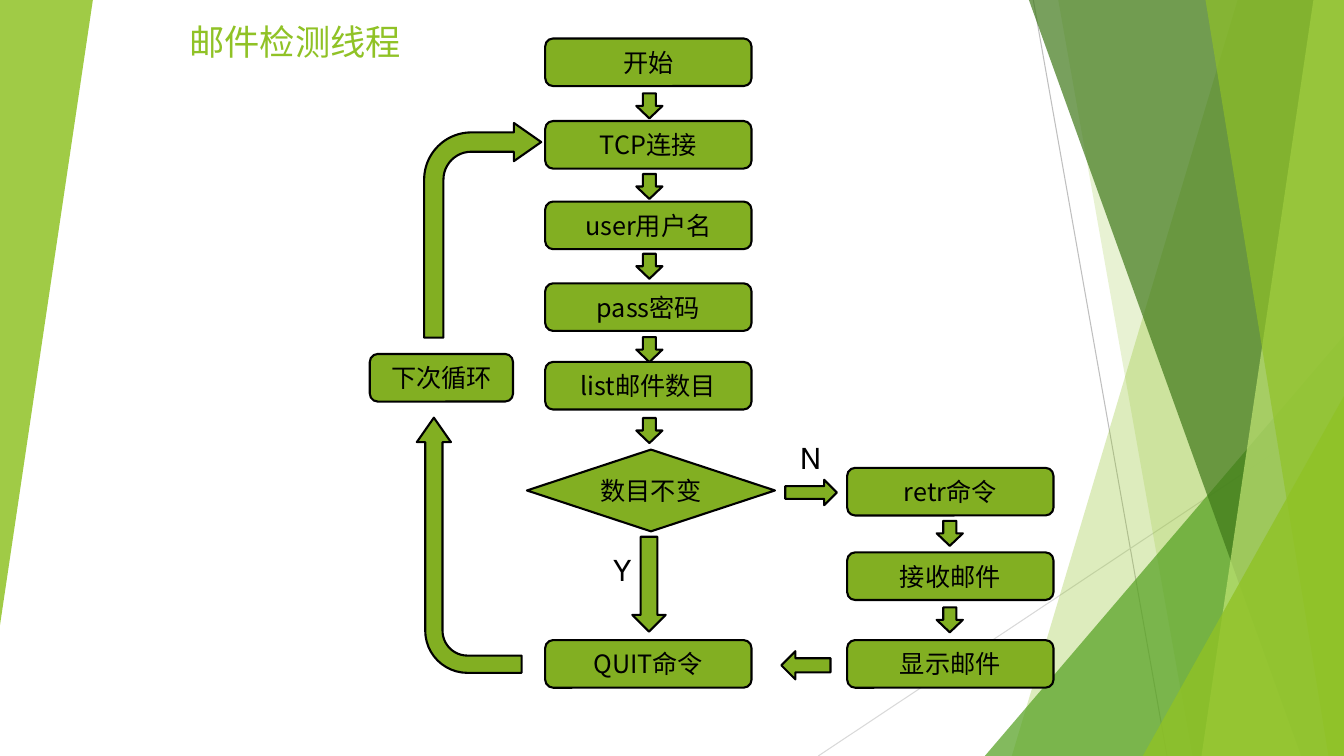
import pptx
import pptx.util
import pptx.dml.color
import pptx.enum.shapes
import pptx.enum.text
import pptx.oxml
import pptx.oxml.ns

Cm = pptx.util.Cm
SHAPE = pptx.enum.shapes.MSO_SHAPE
ALIGN = pptx.enum.text.PP_ALIGN
ANCHOR = pptx.enum.text.MSO_ANCHOR
qn = pptx.oxml.ns.qn

WIDTH, HEIGHT = 33.87, 19.05
COLORS = {
    "lime": "90C226", "green": "54A021", "forest": "3F7819", "pale": "C0E474",
    "box": "82AF22", "ink": "000000", "gray": "BFBFBF", "silver": "D9D9D9",
}
CJK, LATIN = "Noto Sans CJK SC", "Karla"


def rgb(name):
    """Return the named colour."""
    return pptx.dml.color.RGBColor.from_string(COLORS[name])


def write(tf, text, size=18, font=CJK, color="ink", align=ALIGN.CENTER,
          anchor=ANCHOR.MIDDLE, wrap=True):
    """Put one formatted line of text in a text frame."""
    tf.word_wrap, tf.vertical_anchor = wrap, anchor
    p = tf.paragraphs[0]
    p.alignment = align
    r = p.add_run()
    r.text = text
    r.font.size, r.font.name = pptx.util.Pt(size), font
    r.font.color.rgb = rgb(color)
    ea = pptx.oxml.parse_xml(
        '<a:ea %s typeface="%s"/>' % (pptx.oxml.ns.nsdecls("a"), CJK))
    r.font._element.find(qn("a:latin")).addnext(ea)


class Flowchart:
    """Holds the slide and the style of its elements."""

    def __init__(self, slide):
        self.slide = slide
        self.shapes = slide.shapes

    def paint(self, sp, color, opacity):
        """Give a background facet a translucent fill and no line."""
        sp.shadow.inherit = False
        sp.fill.solid()
        sp.fill.fore_color.rgb = rgb(color)
        sp.line.fill.background()
        clr = sp._element.spPr.find(qn("a:solidFill"))[0]
        clr.append(pptx.oxml.parse_xml('<a:alpha %s val="%d"/>' % (
            pptx.oxml.ns.nsdecls("a"), opacity * 1000)))

    def facet(self, top, bottom, color, opacity):
        """Fill from a slanted edge to the right side of the slide."""
        builder = self.shapes.build_freeform(Cm(top), 0)
        corners = [(WIDTH, 0), (WIDTH, HEIGHT), (bottom, HEIGHT)]
        builder.add_line_segments([(Cm(x), Cm(y)) for x, y in corners])
        self.paint(builder.convert_to_shape(), color, opacity)

    def triangle(self, x, y, w, h, color, opacity, rotation=0):
        """Add a right-angled background triangle."""
        sp = self.shapes.add_shape(SHAPE.ISOSCELES_TRIANGLE,
                                   Cm(x), Cm(y), Cm(w), Cm(h))
        sp.adjustments[0] = 1
        sp.rotation = rotation
        self.paint(sp, color, opacity)

    def line(self, x1, y1, x2, y2, color):
        """Add a thin background line."""
        sp = self.shapes.add_connector(pptx.enum.shapes.MSO_CONNECTOR.STRAIGHT,
                                       Cm(x1), Cm(y1), Cm(x2), Cm(y2))
        sp.line.color.rgb = rgb(color)
        sp.line.width = pptx.util.Pt(0.75)
        sp._element.spPr.append(pptx.oxml.parse_xml(
            "<a:effectLst %s/>" % pptx.oxml.ns.nsdecls("a")))

    def node(self, kind, x, y, w, h, text="", rotation=0, adjust=()):
        """Add an outlined flowchart box or block arrow."""
        sp = self.shapes.add_shape(kind, Cm(x), Cm(y), Cm(w), Cm(h))
        sp.shadow.inherit = False
        sp.fill.solid()
        sp.fill.fore_color.rgb = rgb("box")
        sp.line.color.rgb = rgb("ink")
        sp.line.width = pptx.util.Pt(1.5)
        sp.rotation = rotation
        for i, value in enumerate(adjust):
            sp.adjustments[i] = value
        if text:
            write(sp.text_frame, text)

    def label(self, text, x, y, w, h):
        """Add a branch label."""
        sp = self.shapes.add_textbox(Cm(x), Cm(y), Cm(w), Cm(h))
        write(sp.text_frame, text, size=24, font=LATIN,
              anchor=ANCHOR.TOP, wrap=False)

    def title(self, text, x, y, w, h):
        """Place and format the slide title."""
        sp = self.shapes.title
        sp.left, sp.top, sp.width, sp.height = Cm(x), Cm(y), Cm(w), Cm(h)
        write(sp.text_frame, text, size=25.2, font=LATIN, color="lime",
              align=ALIGN.LEFT)
        sp.text_frame.auto_size = pptx.enum.text.MSO_AUTO_SIZE.NONE


def draw_background(chart):
    """Draw the green facets on both sides."""
    chart.line(26.04, 0, 29.41, HEIGHT, "gray")
    chart.line(WIDTH, 10.24, 20.62, HEIGHT, "silver")
    chart.facet(31.19, 25.5, "lime", 30)
    chart.facet(26.67, 30.05, "lime", 20)
    chart.triangle(24.82, 8.46, 9.05, 10.59, "green", 72)
    chart.facet(25.93, 32.79, "forest", 70)
    chart.facet(33.1, 30.28, "pale", 70)
    chart.facet(30.38, 33.48, "lime", 65)
    chart.triangle(28.8, 9.98, 5.07, 9.07, "lime", 80)
    chart.triangle(0, 0, 2.34, 15.75, "lime", 85, rotation=180)


def draw_flow(chart):
    """Draw the steps, the decision and the arrows between them."""
    main, branch = 13.74, 21.35
    steps = [
        (main, 0.97, "开始"), (main, 3.05, "TCP连接"),
        (main, 5.08, "user用户名"), (main, 7.14, "pass密码"),
        (main, 9.12, "list邮件数目"), (main, 16.13, "QUIT命令"),
        (branch, 11.79, "retr命令"), (branch, 13.92, "接收邮件"),
        (branch, 16.13, "显示邮件"),
    ]
    for x, y, text in steps:
        chart.node(SHAPE.ROUNDED_RECTANGLE, x, y, 5.2, 1.2, text)
    chart.node(SHAPE.ROUNDED_RECTANGLE, 9.32, 8.92, 3.61, 1.2, "下次循环")
    chart.node(SHAPE.DIAMOND, 13.28, 11.33, 6.25, 2.06, "数目不变")

    down_arrows = {16.05: [2.34, 4.37, 6.38, 8.48, 10.52],
                   23.62: [13.11, 15.29]}
    for x, tops in down_arrows.items():
        for y in tops:
            chart.node(SHAPE.RIGHT_ARROW, x, y, 0.63, 0.66, rotation=90)
    chart.node(SHAPE.RIGHT_ARROW, 15.16, 14.3, 2.39, 0.84, rotation=90)
    chart.node(SHAPE.RIGHT_ARROW, 19.79, 12.09, 1.3, 0.64)
    chart.node(SHAPE.LEFT_ARROW, 19.69, 16.41, 1.24, 0.71)

    bend = (0.165, 0.163, 0.233, 0.403)
    chart.node(SHAPE.BENT_ARROW, 10.69, 3.1, 2.95, 5.41, adjust=bend)
    chart.node(SHAPE.BENT_ARROW, 8.61, 12.42, 6.43, 2.64,
               rotation=270, adjust=bend)
    chart.label("Y", 15.19, 13.69, 0.99, 1.27)
    chart.label("N", 19.89, 10.85, 1.07, 1.27)


prs = pptx.Presentation()
prs.slide_width, prs.slide_height = Cm(WIDTH), Cm(HEIGHT)
chart = Flowchart(prs.slides.add_slide(prs.slide_layouts[5]))
draw_background(chart)
chart.title("邮件检测线程", 4.52, 0.46, 7.06, 1.19)
draw_flow(chart)
prs.save("out.pptx")
